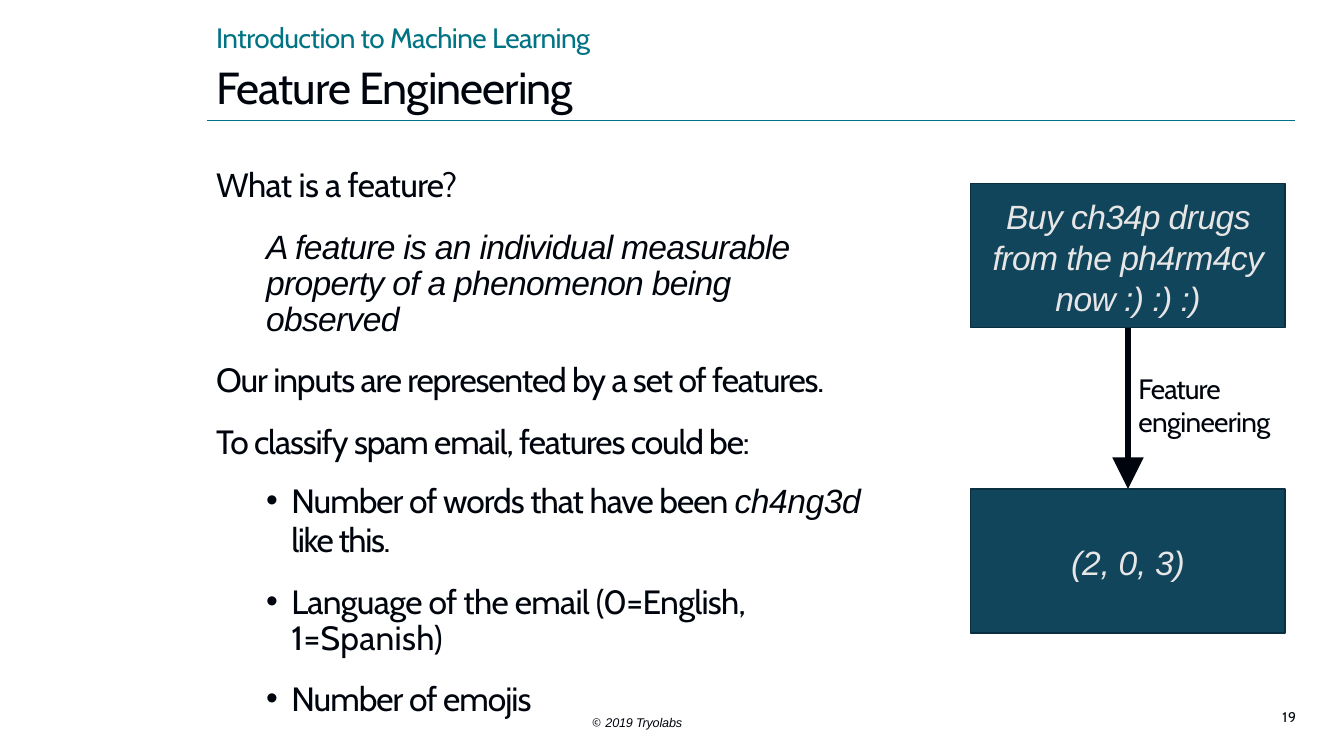
import pptx
import pptx.dml.color
import pptx.enum.shapes
import pptx.enum.text
import pptx.oxml
import pptx.oxml.ns
import pptx.util

Pt = pptx.util.Pt
ALIGN = pptx.enum.text.PP_ALIGN
ANCHOR = pptx.enum.text.MSO_ANCHOR
TEAL, INK, NAVY, EDGE, PALE = "007484", "00050D", "11455B", "092F41", "E7E6E6"


def rgb(value):
    return pptx.dml.color.RGBColor.from_string(value)


def add_run(p, text, size=24, color=INK, font="Cabin", italic=False, spacing=0):
    r = p.add_run()
    r.text = text
    r.font.size = Pt(size)
    r.font.name = font
    r.font.italic = italic
    r.font.color.rgb = rgb(color)
    r._r.get_or_add_rPr().set("spc", str(round(spacing * 100)))


def add_xml(parent, tag, **attrs):
    child = pptx.oxml.parse_xml(f"<a:{tag} {pptx.oxml.ns.nsdecls('a')}/>")
    for name, value in attrs.items():
        child.set(name, value)
    parent.append(child)


class Deck:
    quote = dict(font="Arial", italic=True)

    def __init__(self):
        self.prs = pptx.Presentation()
        self.prs.slide_width, self.prs.slide_height = Pt(960), Pt(540)
        self.s = self.prs.slides.add_slide(self.prs.slide_layouts[1])

    def frame(self, sp, inset=(0, 0, 0, 0), wrap=True, anchor=ANCHOR.TOP):
        tf = sp.text_frame
        tf.margin_left, tf.margin_top, tf.margin_right, tf.margin_bottom = map(Pt, inset)
        tf.word_wrap = wrap
        tf.auto_size = pptx.enum.text.MSO_AUTO_SIZE.NONE
        tf.vertical_anchor = anchor
        return tf

    def place(self, sp, x, y, w, h):
        sp.left, sp.top, sp.width, sp.height = map(Pt, (x, y, w, h))

    def title(self, text, x, y, w, h):
        sp = self.s.shapes.title
        self.place(sp, x, y, w, h)
        p = self.frame(sp, (1, 1, 0, 0), wrap=False).paragraphs[0]
        p.alignment = ALIGN.LEFT
        add_run(p, text, size=32, spacing=-0.7)

    def body(self, items, x, y, w, h):
        sp = self.s.placeholders[1]
        self.place(sp, x, y, w, h)
        tf = self.frame(sp, (0, 16, 0, 0))
        for i, (left, right, bullet, before, line, runs) in enumerate(items):
            p = tf.paragraphs[0] if i == 0 else tf.add_paragraph()
            p.space_before = Pt(before)
            if line:
                p.line_spacing = Pt(line)
            pPr = p._p.get_or_add_pPr()
            pPr.set("marL", str(Pt(left)))
            pPr.set("marR", str(Pt(right)))
            pPr.set("indent", str(Pt(-18 if bullet else 0)))
            if bullet:
                add_xml(pPr, "buFont", typeface="Arial")
                add_xml(pPr, "buChar", char="•")
            else:
                add_xml(pPr, "buNone")
            for text, style in runs:
                add_run(p, text, **style)

    def label(self, lines, x, y, w, h):
        sp = self.s.shapes.add_textbox(Pt(x), Pt(y), Pt(w), Pt(h))
        tf = self.frame(sp, (1, 1, 0, 0), wrap=False)
        for i, runs in enumerate(lines):
            p = tf.paragraphs[0] if i == 0 else tf.add_paragraph()
            for text, style in runs:
                add_run(p, text, **style)

    def box(self, text, x, y, w, h, spacing):
        sp = self.s.shapes.add_shape(
            pptx.enum.shapes.MSO_SHAPE.RECTANGLE, Pt(x), Pt(y), Pt(w), Pt(h))
        sp.shadow.inherit = False
        sp.fill.solid()
        sp.fill.fore_color.rgb = rgb(NAVY)
        sp.line.color.rgb = rgb(EDGE)
        sp.line.width = Pt(0.96)
        p = self.frame(sp, (10, 2, 10, 0), anchor=ANCHOR.MIDDLE).paragraphs[0]
        p.alignment = ALIGN.CENTER
        p.line_spacing = Pt(29)
        add_run(p, text, color=PALE, spacing=spacing, **self.quote)

    def line(self, x1, y1, x2, y2, color, width, arrow=False):
        c = self.s.shapes.add_connector(
            pptx.enum.shapes.MSO_CONNECTOR.STRAIGHT, Pt(x1), Pt(y1), Pt(x2), Pt(y2))
        c.line.color.rgb = rgb(color)
        c.line.width = Pt(width)
        if arrow:
            add_xml(c.line._get_or_add_ln(), "tailEnd", type="triangle", w="lg", len="lg")
        add_xml(c._element.spPr, "effectLst")


def main():
    d = Deck()
    left = 153.4
    d.line(147.6, 86, 925.2, 86, TEAL, 0.48)
    d.label([[("Introduction to Machine Learning", dict(size=20, color=TEAL, spacing=-0.4))]],
            left, 13.7, 286, 26)
    d.title("Feature Engineering", left, 41.8, 277, 40)

    d.body([
        (1, 0, False, 0, None, [("What is a feature?", dict(spacing=-0.45))]),
        (36.7, 36, False, 18.4, 25.9, [
            ("A feature is an individual measurable property of a phenomenon being observed",
             dict(spacing=-0.5, **d.quote))]),
        (1, 0, False, 14.8, None, [
            ("Our inputs are represented by a set of features.", dict(spacing=-0.8))]),
        (1, 0, False, 15.2, None, [
            ("To classify spam email, features could be:", dict(spacing=-0.8))]),
        (54.7, 0, True, 15.1, 27.4, [
            ("Number of words that have been ", dict(spacing=-0.7)),
            ("ch4ng3d", dict(spacing=-0.3, **d.quote)),
            (" like this.", dict(spacing=-1))]),
        (54.7, 0, True, 18.4, 25.9, [
            ("Language of the email (0=English, ", dict(spacing=-0.5)),
            ("1=Spanish)", dict(spacing=0.2))]),
        (54.7, 0, True, 14.8, None, [("Number of emojis", dict(spacing=-0.7))]),
    ], left, 100.8, 475, 420)

    box_x, box_w, box_h = 693.4, 224.6, 103
    input_y, vector_y = 131, 349.2
    d.box("Buy ch34p drugs from the ph4rm4cy now :) :) :)",
          box_x, input_y, box_w, box_h, -0.4)
    d.box("(2, 0, 3)", box_x, vector_y, box_w, box_h, -0.2)
    center = box_x + box_w / 2
    d.line(center, input_y + box_h, center, vector_y, INK, 4.5, arrow=True)
    d.label([[("Feature", dict(size=20, spacing=-0.7))],
             [("engineering", dict(size=20, spacing=-0.5))]], 812.2, 264.2, 101.5, 50.4)

    d.label([[("19", dict(size=10, spacing=0.6))]], 915, 505, 18, 13)
    d.label([[("© ", dict(size=9, spacing=0.5)),
              ("2019 Tryolabs", dict(size=9, spacing=-0.15, **d.quote))]],
            422, 509.5, 66, 12.2)
    d.prs.save("out.pptx")


if __name__ == "__main__":
    main()
